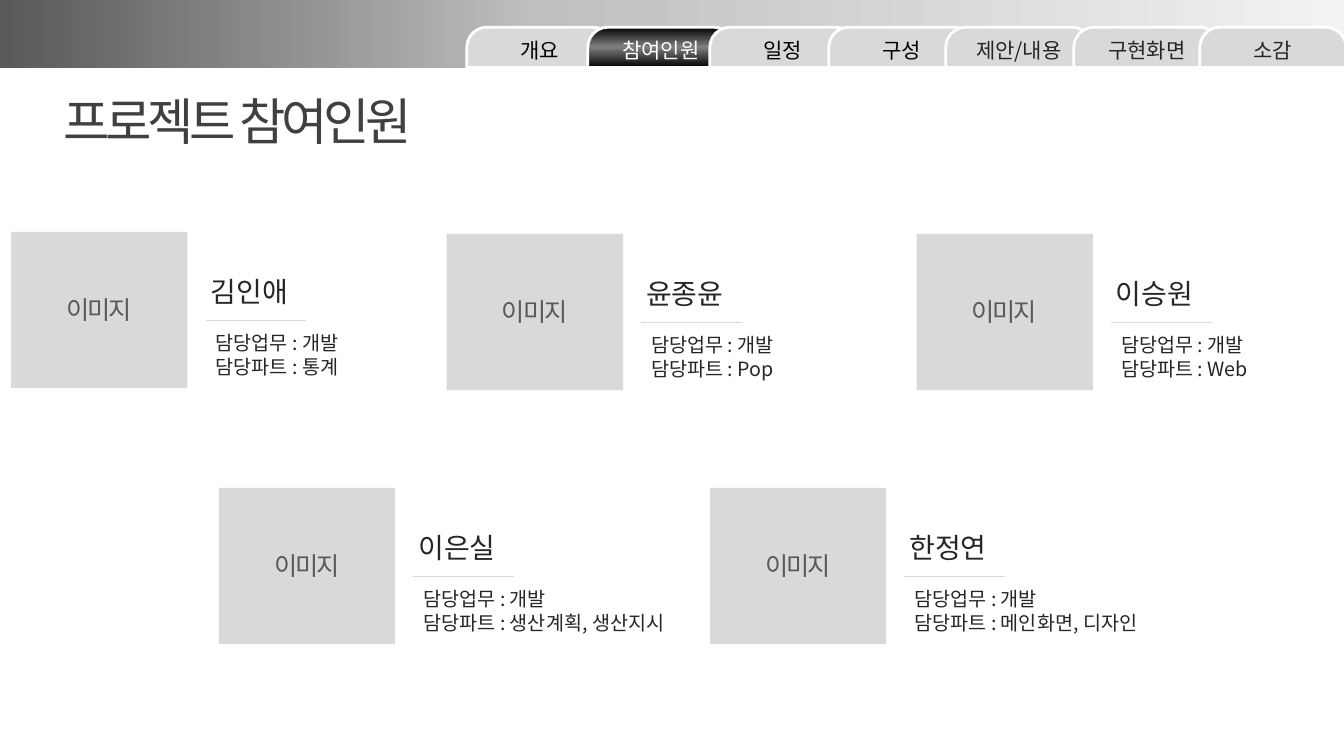
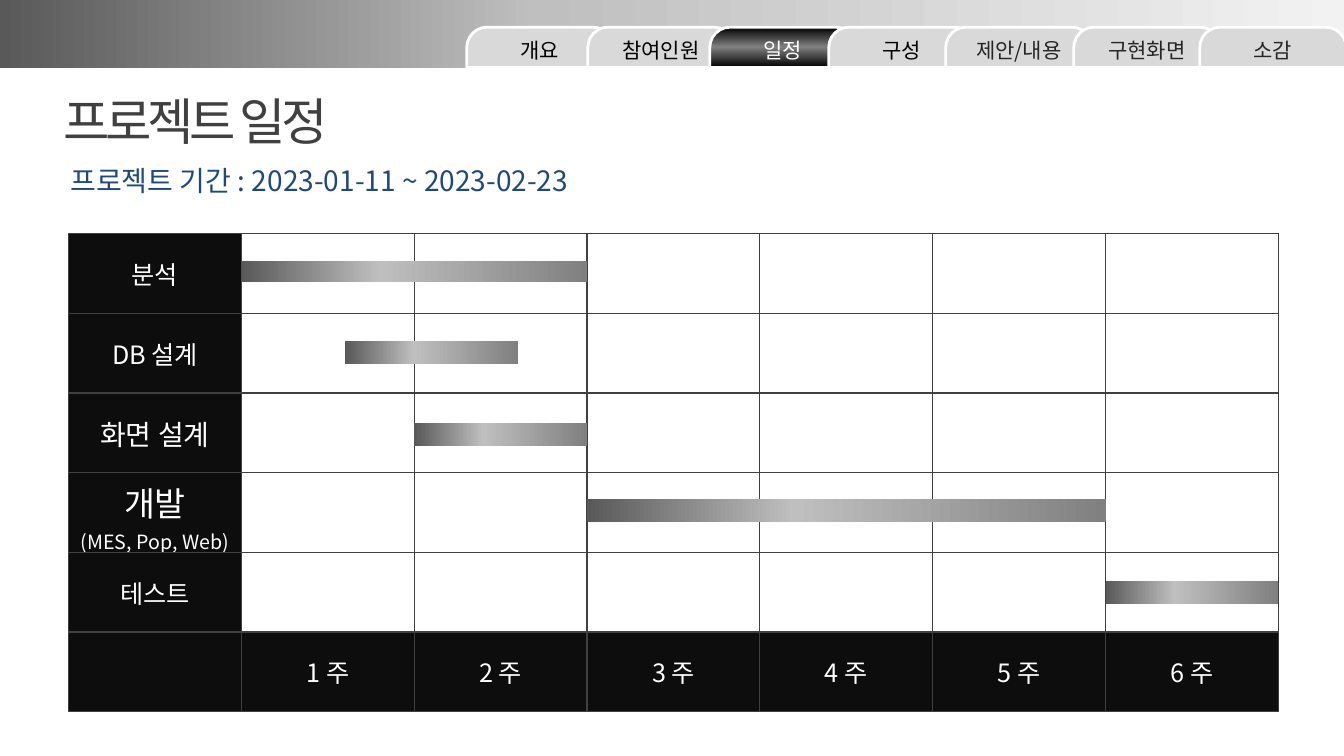
from lxml.etree import SubElement
from pptx import Presentation
from pptx.dml.color import RGBColor
from pptx.enum.shapes import MSO_CONNECTOR, MSO_SHAPE
from pptx.enum.text import MSO_ANCHOR, MSO_AUTO_SIZE, PP_ALIGN
from pptx.oxml.ns import qn
from pptx.util import Inches, Pt

FONT = "Noto Sans CJK KR"
COLORS = {
    "white": "FFFFFF", "black": "000000", "ink": "262626", "title": "404040",
    "label": "595959", "panel": "D9D9D9", "header": "0D0D0D", "period": "1F497D",
}
BAND = [(0, "595959"), (40, "BFBFBF"), (100, "F2F2F2")]
BAR = [(0, "595959"), (40, "BFBFBF"), (100, "808080")]
ACTIVE_TAB = [(0, "000000"), (51, "808080"), (100, "000000")]
TABS = [
    ("개요", 4.63), ("참여인원", 5.83), ("일정", 7.04), ("구성", 8.22),
    ("제안/내용", 9.38), ("구현화면", 10.65), ("소감", 11.9),
]
SLIDE_WIDTH = 13.33


def rgb(name):
    return RGBColor.from_string(COLORS[name])


class Deck:
    def __init__(self):
        self.prs = Presentation()
        self.prs.slide_width = Inches(SLIDE_WIDTH)
        self.prs.slide_height = Inches(7.5)
        self.slide = None

    def start(self, title, title_width):
        self.slide = self.prs.slides.add_slide(self.prs.slide_layouts[6])
        self.gradient_bar(0, -0.01, SLIDE_WIDTH, 0.68, BAND)
        self.text((0.53, 0.84, title_width, 0.71), [title], 36, "title",
                  spacing=-3, fitted=True)

    def styled_run(self, paragraph, words, size, color, spacing=0):
        run = paragraph.add_run()
        run.text = words
        run.font.size = Pt(size)
        run.font.color.rgb = rgb(color)
        run.font.name = FONT
        properties = run.font._element
        SubElement(properties, qn("a:ea"), typeface=FONT)
        if spacing:
            properties.set("spc", str(round(spacing * 100)))

    def text(self, place, lines, size, color, spacing=0, fitted=False):
        frame = self.slide.shapes.add_textbox(*map(Inches, place)).text_frame
        frame.word_wrap = not fitted
        if fitted:
            frame.auto_size = MSO_AUTO_SIZE.SHAPE_TO_FIT_TEXT
        else:
            frame.vertical_anchor = MSO_ANCHOR.MIDDLE
        for index, line in enumerate(lines):
            paragraph = frame.add_paragraph() if index else frame.paragraphs[0]
            self.styled_run(paragraph, line, size, color, spacing)

    def shape(self, kind, *place):
        shape = self.slide.shapes.add_shape(kind, *map(Inches, place))
        shape.shadow.inherit = False
        shape.line.fill.background()
        return shape

    def fill(self, shape, color):
        shape.fill.solid()
        shape.fill.fore_color.rgb = rgb(color)

    def fill_gradient(self, shape, stops, angle=0):
        shape.fill.gradient()
        shape.fill.gradient_angle = angle
        stop_list = shape._element.spPr.find(qn("a:gradFill")).find(qn("a:gsLst"))
        for default_stop in list(stop_list):
            stop_list.remove(default_stop)
        for percent, color in stops:
            stop = SubElement(stop_list, qn("a:gs"), pos=str(percent * 1000))
            SubElement(stop, qn("a:srgbClr"), val=color)

    def gradient_bar(self, left, top, width, height, stops):
        self.fill_gradient(
            self.shape(MSO_SHAPE.RECTANGLE, left, top, width, height), stops)

    def rule(self, left, top, width):
        rule = self.slide.shapes.add_connector(
            MSO_CONNECTOR.STRAIGHT, Inches(left), Inches(top),
            Inches(left + width), Inches(top))
        rule.line.color.rgb = rgb("panel")
        rule.line.width = Pt(1)
        SubElement(rule._element.spPr, qn("a:effectLst"))

    def tabs(self, active):
        for index, (caption, left) in enumerate(TABS):
            tab = self.shape(MSO_SHAPE.ROUND_2_SAME_RECTANGLE, left, 0.27, 1.45, 0.4)
            tab.adjustments[0] = 0.5
            tab.adjustments[1] = 0
            tab.line.color.rgb = rgb("white")
            tab.line.width = Pt(2)
            if caption == active:
                self.fill_gradient(tab, ACTIVE_TAB, 90)
                color = "white"
            else:
                self.fill(tab, "panel")
                color = "black" if index < 4 else "ink"
            tab.text_frame.vertical_anchor = MSO_ANCHOR.MIDDLE
            paragraph = tab.text_frame.paragraphs[0]
            paragraph.alignment = PP_ALIGN.CENTER
            self.styled_run(paragraph, caption, 15, color)

    def member(self, left, top, name, part):
        self.fill(self.shape(MSO_SHAPE.RECTANGLE, left, top, 1.75, 1.55), "panel")
        self.text((left + 1.88, top + 0.41, 1.81, 0.36), [name], 20, "ink")
        details_left = left + 1.93
        self.rule(details_left, top + 0.88, 1)
        details_width = min(3, SLIDE_WIDTH - details_left)
        self.text((details_left, top + 1.04, details_width, 0.36),
                  ["담당업무 : 개발", f"담당파트 : {part}"], 14, "ink")
        self.text((left + 0.45, top + 0.57, 0.85, 0.4), ["이미지"], 18, "label",
                  spacing=-1.5, fitted=True)

    def cell(self, cell, lines, dark):
        if dark:
            self.fill(cell, "header")
        else:
            cell.fill.background()
        cell.vertical_anchor = MSO_ANCHOR.MIDDLE
        for index, (words, size) in enumerate(lines):
            frame = cell.text_frame
            paragraph = frame.add_paragraph() if index else frame.paragraphs[0]
            paragraph.alignment = PP_ALIGN.CENTER
            self.styled_run(paragraph, words, size, "white")
        properties = cell._tc.get_or_add_tcPr()
        for index, side in enumerate(("lnL", "lnR", "lnT", "lnB")):
            border = SubElement(properties, qn(f"a:{side}"), w=str(int(Pt(1))))
            paint = SubElement(border, qn("a:solidFill"))
            SubElement(paint, qn("a:srgbClr"), val=COLORS["title"])
            properties.insert(index, border)

    def schedule(self, left, top, width, height, tasks, weeks):
        rows, columns = len(tasks) + 1, weeks + 1
        table = self.slide.shapes.add_table(
            rows, columns, *map(Inches, (left, top, width, height))).table
        table.first_row = False
        table.horz_banding = False
        column_width = width / columns
        for column in table.columns:
            column.width = Inches(column_width)
        for row in table.rows:
            row.height = Inches(height / rows)
        for r in range(rows):
            for c in range(columns):
                lines = []
                if r == rows - 1 and c:
                    lines = [(f"{c} 주", 18)]
                elif r < rows - 1 and c == 0:
                    lines = tasks[r][0]
                self.cell(table.cell(r, c), lines, c == 0 or r == rows - 1)
        for _, start, duration, bar_top, bar_height in tasks:
            self.gradient_bar(left + (1 + start) * column_width, bar_top,
                              duration * column_width, bar_height, BAR)


def main():
    deck = Deck()

    deck.start("프로젝트 참여인원", 4.01)
    members = [
        (0.11, 2.3, "김인애", "통계"),
        (4.43, 2.32, "윤종윤", "Pop"),
        (9.09, 2.32, "이승원", "Web"),
        (2.17, 4.84, "이은실", "생산계획, 생산지시"),
        (7.04, 4.84, "한정연", "메인화면, 디자인"),
    ]
    for member in members:
        deck.member(*member)
    deck.tabs("참여인원")

    deck.start("프로젝트 일정", 3.08)
    deck.text((0.6, 1.62, 8.46, 0.33),
              ["프로젝트 기간 : 2023-01-11 ~ 2023-02-23"], 20, "period")
    tasks = [
        ([("분석", 18)], 0, 2, 2.59, 0.21),
        ([("DB 설계", 18)], 0.6, 1, 3.38, 0.23),
        ([("화면 설계", 20)], 1, 1, 4.2, 0.23),
        ([("개발", 24), ("(MES, Pop, Web)", 14)], 2, 3, 4.95, 0.23),
        ([("테스트", 18)], 5, 1, 5.76, 0.23),
    ]
    deck.schedule(0.68, 2.32, 12, 4.74, tasks, weeks=6)
    deck.tabs("일정")

    deck.prs.save("out.pptx")


if __name__ == "__main__":
    main()
